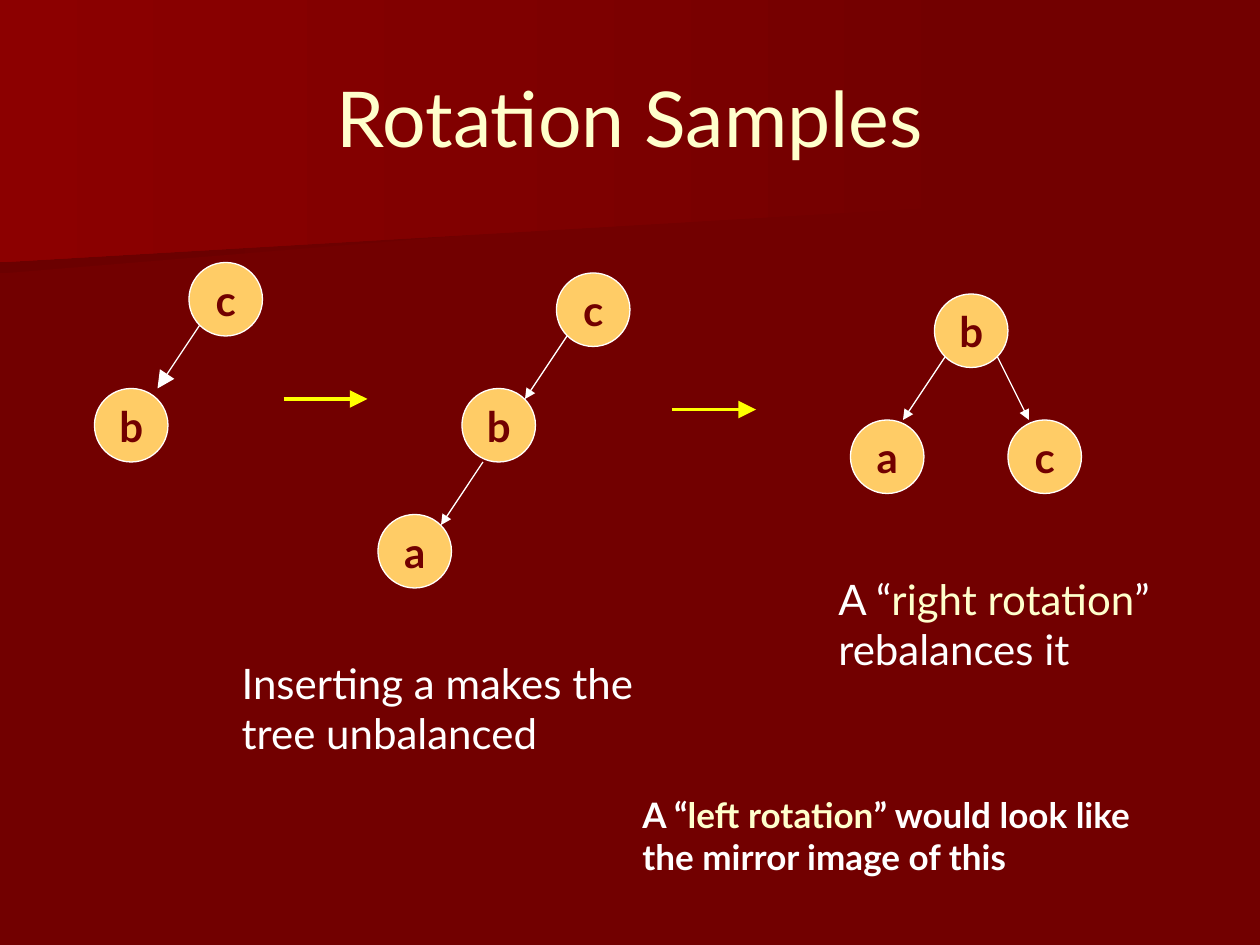
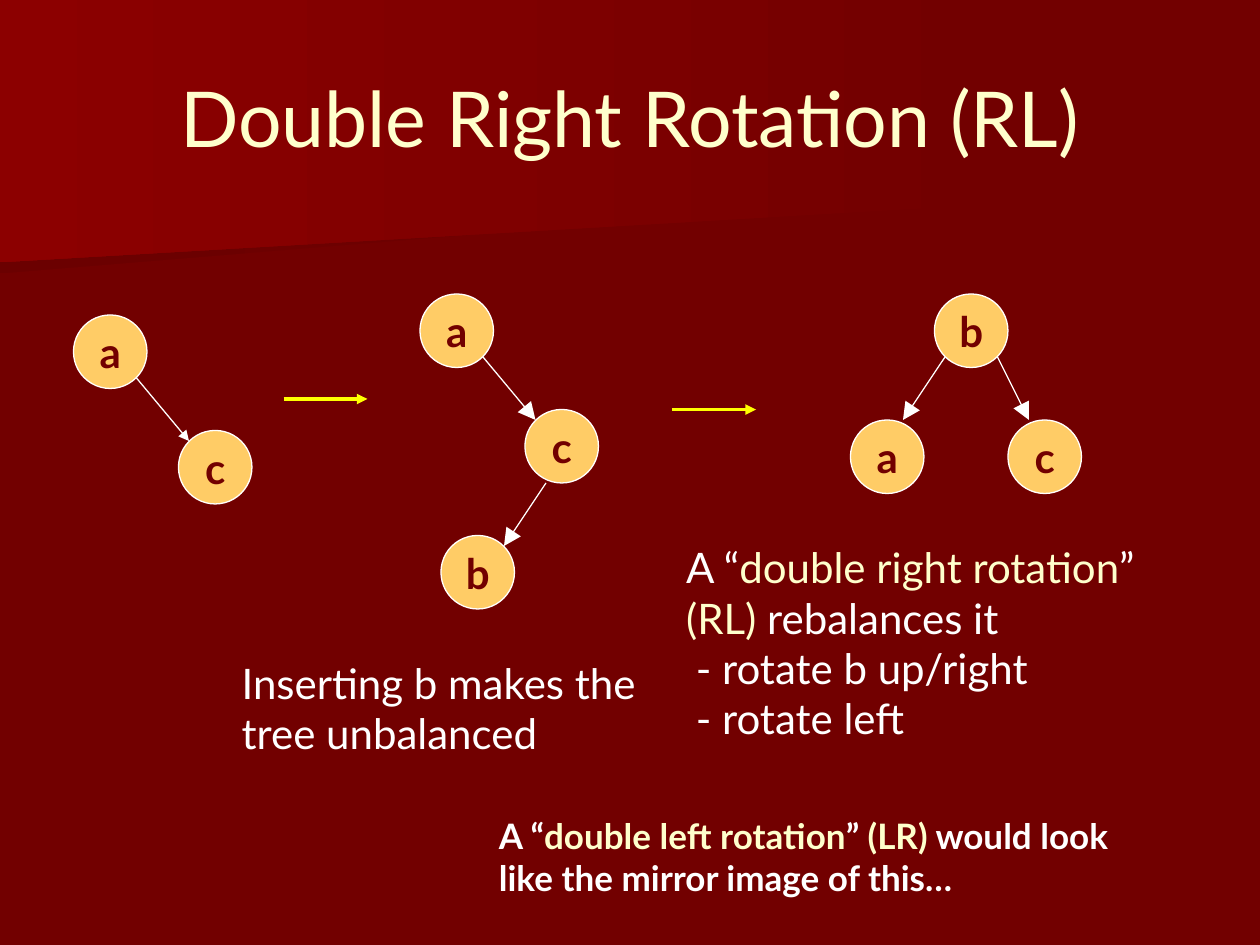
from dataclasses import dataclass
from typing import Any, NamedTuple

from lxml import etree
from pptx import Presentation
from pptx import util as u
from pptx.dml import color
from pptx.enum import shapes, text
from pptx.oxml import ns

FONT = "Lato"
DARK, SHADE, GLOW = "720000", "6B0000", "8C0000"
CREAM, GOLD, WHITE, YELLOW = "FFFFCC", "FFCC66", "FFFFFF", "FFFF00"
SIZE = 42
INDENT = 5.5
MARK = "*"


class Node(NamedTuple):
    name: str
    x: float
    y: float


class Edge(NamedTuple):
    x: float
    y: float
    dx: float
    dy: float
    big: bool = False
    tint: str = WHITE
    width: float = 0.75


class Band(NamedTuple):
    points: list[tuple[float, float]]
    edge: str


@dataclass
class Note:
    x: float
    y: float
    w: float
    h: float
    lines: list[str]
    size: float = 24
    bold: bool = False


@dataclass
class Page:
    title: str
    nodes: list[Node]
    edges: list[Edge]
    notes: list[Note]


BANDS = [
    Band([(560.2, 110.2), (0, 156.2), (0, 72.7), (560.9, 72.7), (560.2, 92.2)], SHADE),
    Band([(570.2, 116.6), (0, 149.8), (0, 0), (570.2, 0)], GLOW),
]
LEFT = (-24, 36)
RIGHT = (30, 36)
RESULT = [Node("b", 534, 168), Node("a", 486, 240), Node("c", 576, 240)]


def result(big: bool) -> list[Edge]:
    return [Edge(540, 204, *LEFT, big), Edge(570, 204, 18, 36, big)]


def steps(big: bool) -> list[Edge]:
    return [Edge(x, y, 48, 0, big, YELLOW, 2) for x, y in ((162, 228), (384, 234))]


def insert(name: str) -> Note:
    return Note(131, 372, 260, 65, [f"Inserting {name} makes the", "tree unbalanced"])


PAGES = [
    Page(
        "Rotation Samples",
        [Node("c", 108, 150), Node("b", 54, 222),
         Node("c", 318, 156), Node("b", 264, 222), Node("a", 216, 294), *RESULT],
        [Edge(114, 186, *LEFT, True), Edge(324, 192, *LEFT),
         Edge(276, 264, *LEFT), *result(False), *steps(True)],
        [insert("a"),
         Note(472, 324, 210, 65, ["A “*right rotation*”", "rebalances it"]),
         Note(360, 450, 335.5, 55.5,
              ["A “*left rotation*” would look like", "the mirror image of this"],
              20, True)],
    ),
    Page(
        "Double Right Rotation (RL)",
        [Node("a", 42, 180), Node("c", 102, 246),
         Node("a", 240, 168), Node("c", 300, 234), Node("b", 252, 306), *RESULT],
        [Edge(78, 216, *RIGHT), Edge(276, 204, *RIGHT, True),
         Edge(312, 276, *LEFT, True), *result(True), *steps(False)],
        [insert("b"),
         Note(385, 306, 294.5, 122.5,
              ["A “*double right rotation*”", "*(RL)* rebalances it",
               "- rotate b up/right", "- rotate left"]),
         Note(278, 462, 417, 55.5,
              ["A “*double left rotation*” *(LR)* would look",
               "like the mirror image of this…"], 20, True)],
    ),
]


def rgb(code: str) -> color.RGBColor:
    return color.RGBColor.from_string(code)


def put(item: Any, values: dict[str, Any]) -> None:
    for key, value in values.items():
        setattr(item, key, value)


def paint(fill: Any, code: str) -> None:
    fill.solid()
    fill.fore_color.rgb = rgb(code)


def write(para: Any, words: str, size: float, tint: str, bold: bool = False) -> None:
    for rank, part in enumerate(words.split(MARK)):
        if part:
            run = para.add_run()
            run.text = part
            put(run.font, {"name": FONT, "size": u.Pt(size), "bold": bold})
            run.font.color.rgb = rgb(CREAM if rank % 2 else tint)


def band(slide: Any, item: Band) -> None:
    first, *rest = [(u.Pt(x), u.Pt(y)) for x, y in item.points]
    pen = slide.shapes.build_freeform(*first)
    pen.add_line_segments(rest, close=True)
    shape = pen.convert_to_shape()
    shape.shadow.inherit = False
    shape.line.fill.background()
    shape.fill.gradient()
    shape.fill.gradient_angle = 180
    for stop, code in zip(shape.fill.gradient_stops, (DARK, item.edge)):
        stop.color.rgb = rgb(code)


def head(slide: Any, words: str) -> None:
    box = slide.shapes.add_textbox(u.Pt(36), u.Pt(21.6), u.Pt(648), u.Pt(90))
    put(box.text_frame, {"word_wrap": True, "vertical_anchor": text.MSO_ANCHOR.MIDDLE})
    para = box.text_frame.paragraphs[0]
    para.alignment = text.PP_ALIGN.CENTER
    write(para, words, 44, CREAM)


def node(slide: Any, item: Node) -> None:
    ball = slide.shapes.add_shape(
        shapes.MSO_SHAPE.OVAL, u.Pt(item.x), u.Pt(item.y), u.Pt(SIZE), u.Pt(SIZE))
    ball.shadow.inherit = False
    paint(ball.fill, GOLD)
    paint(ball.line.fill, WHITE)
    ball.line.width = u.Pt(0.75)
    put(ball.text_frame, {"word_wrap": False, "vertical_anchor": text.MSO_ANCHOR.MIDDLE})
    para = ball.text_frame.paragraphs[0]
    para.alignment = text.PP_ALIGN.CENTER
    write(para, item.name, 24, DARK, True)


def edge(slide: Any, item: Edge) -> None:
    line = slide.shapes.add_connector(
        shapes.MSO_CONNECTOR.STRAIGHT, u.Pt(item.x), u.Pt(item.y),
        u.Pt(item.x + item.dx), u.Pt(item.y + item.dy))
    paint(line.line.fill, item.tint)
    line.line.width = u.Pt(item.width)
    span = "lg" if item.big else "med"
    etree.SubElement(line.line._get_or_add_ln(), ns.qn("a:tailEnd"),
                     type="triangle", w=span, len=span)
    etree.SubElement(line._element.spPr, ns.qn("a:effectLst"))


def note(slide: Any, item: Note) -> None:
    box = slide.shapes.add_textbox(*map(u.Pt, (item.x, item.y, item.w, item.h)))
    frame = box.text_frame
    put(frame, {"word_wrap": False, "auto_size": text.MSO_AUTO_SIZE.SHAPE_TO_FIT_TEXT})
    for rank, words in enumerate(item.lines):
        para = frame.add_paragraph() if rank else frame.paragraphs[0]
        if words.startswith("-"):
            para._p.get_or_add_pPr().set("marL", str(u.Pt(INDENT)))
        write(para, words, item.size, WHITE, item.bold)


def build(deck: Any, page: Page) -> None:
    slide = deck.slides.add_slide(deck.slide_layouts[6])
    paint(slide.background.fill, DARK)
    for item in BANDS:
        band(slide, item)
    head(slide, page.title)
    for draw, items in ((node, page.nodes), (edge, page.edges), (note, page.notes)):
        for item in items:
            draw(slide, item)


def main() -> None:
    deck = Presentation()
    put(deck, {"slide_width": u.Pt(720), "slide_height": u.Pt(540)})
    for page in PAGES:
        build(deck, page)
    deck.save("out.pptx")


if __name__ == "__main__":
    main()
